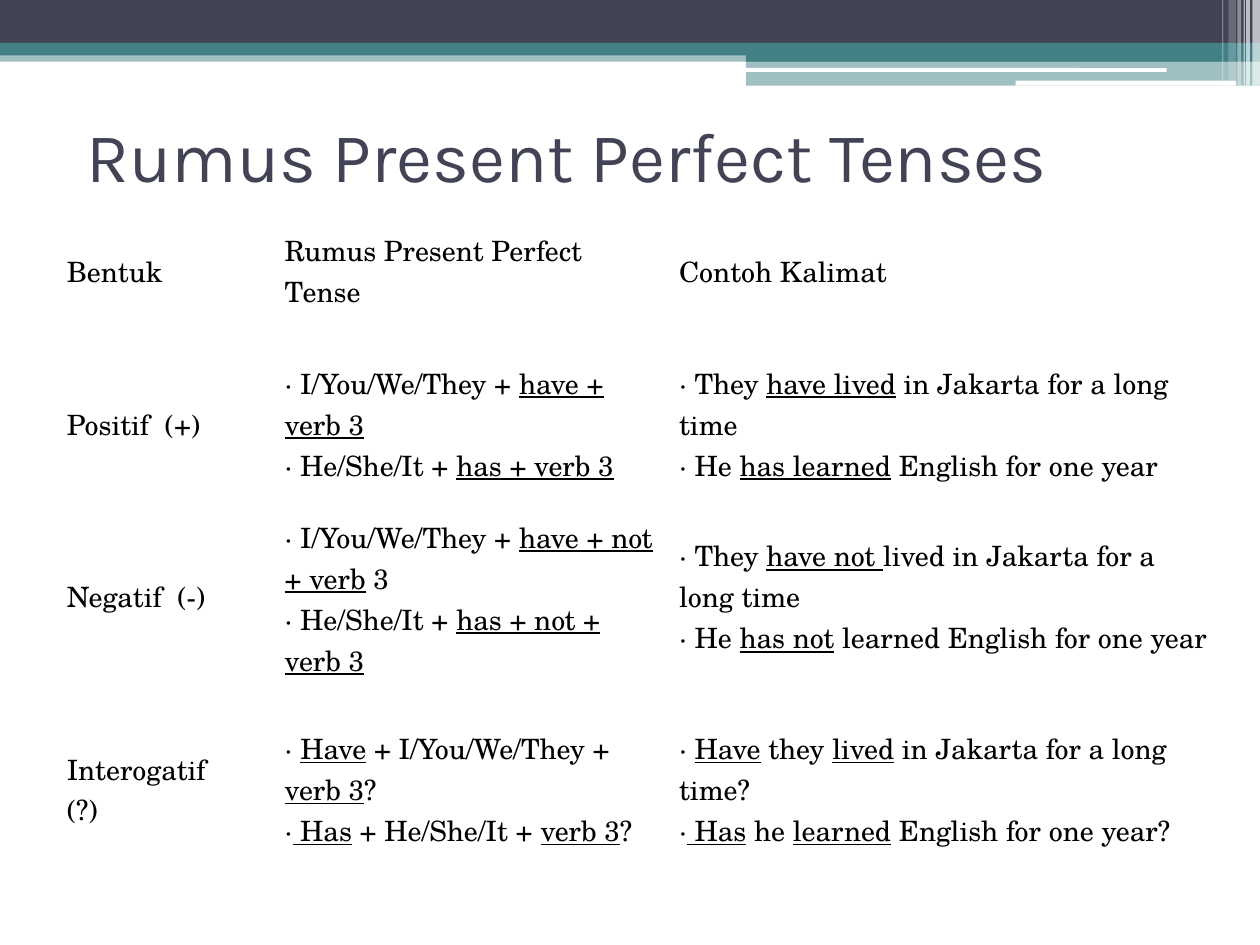
from lxml import etree
from pptx import Presentation
from pptx.dml.color import RGBColor
from pptx.enum.shapes import MSO_SHAPE
from pptx.enum.text import MSO_ANCHOR
from pptx.oxml.ns import qn
from pptx.util import Inches, Pt

RECT, ROUND = MSO_SHAPE.RECTANGLE, MSO_SHAPE.ROUNDED_RECTANGLE
MIDDLE = MSO_ANCHOR.MIDDLE
NAVY = RGBColor(0x42, 0x44, 0x56)
TEAL = RGBColor(0x43, 0x80, 0x86)
WHITE = RGBColor(0xFF, 0xFF, 0xFF)
BLACK = RGBColor(0, 0, 0)

W, H = Inches(10), Inches(7.5)
COL, ROW = W // 1000, H // 750

TITLE_FORMAT = {"name": "Karla", "size": Pt(40), "bold": False}
CELL_FORMAT = {"name": "TeX Gyre Schola", "size": Pt(16), "bold": False}

BANDS = [
    (RECT, 0, 40, 1000, 9, TEAL, 50),
    (RECT, 0, 0, 1000, 34, NAVY, 100),
    (RECT, 0, 34, 1000, 10, TEAL, 100),
    (RECT, 592, 39, 408, 10, TEAL, 100),
    (RECT, 592, 48, 408, 20, TEAL, 50),
    (ROUND, 591, 54, 335, 3, WHITE, 100),
    (ROUND, 806, 64, 175, 4, WHITE, 100),
]
STRIPES = [
    (994, 6, 68, 65),
    (989, 3, 68, 65),
    (987, 1, 68, 60),
    (982, 3, 68, 40),
    (975, 6, 64, 20),
    (970, 1, 64, 30),
]
COLUMN_SHARES = [173, 313, 443]
ROW_SHARES = [106, 137, 137, 169]
ROWS = [
    ["Bentuk", "Rumus Present Perfect Tense", "Contoh Kalimat"],
    ["Positif  (+)",
     "· I/You/We/They + _have + verb 3_\n· He/She/It + _has + verb 3_",
     "· They _have lived_ in Jakarta for a long time\n"
     "· He _has learned_ English for one year"],
    ["Negatif  (-)",
     "· I/You/We/They + _have + not + verb_ 3\n· He/She/It + _has + not + verb 3_",
     "· They _have not _lived in Jakarta for a long time\n"
     "· He _has not_ learned English for one year"],
    ["Interogatif   (?)",
     "· _Have_ + I/You/We/They + _verb 3_?\n·_ Has_ + He/She/It + _verb 3_?",
     "· _Have_ they _lived_ in Jakarta for a long time?\n"
     "·_ Has_ he _learned_ English for one year?"],
]


def grid_box(x, y, w, h):
    return x * COL, y * ROW, w * COL, h * ROW


def write_text(tf, text, formats, color):
    for i, line in enumerate(text.split("\n")):
        p = tf.paragraphs[0] if i == 0 else tf.add_paragraph()
        for j, part in enumerate(line.split("_")):
            if not part:
                continue
            r = p.add_run()
            r.text = part
            for name, value in formats.items():
                setattr(r.font, name, value)
            r.font.color.rgb = color
            if j % 2:
                r.font.underline = True


def add_bar(slide, kind, box, color, opacity):
    sp = slide.shapes.add_shape(kind, *box)
    sp.shadow.inherit = False
    sp.line.fill.background()
    sp.fill.solid()
    sp.fill.fore_color.rgb = color
    if opacity < 100:
        clr = sp.fill._xPr.find(".//" + qn("a:srgbClr"))
        etree.SubElement(clr, qn("a:alpha")).set("val", str(opacity * 1000))


def add_header(slide, box):
    left, top = box[:2]
    stripes = [(RECT, x, 0, w, h, WHITE, a) for x, w, h, a in STRIPES]
    for kind, x, y, w, h, color, opacity in BANDS + stripes:
        bar = (left + x * COL, top + y * ROW, w * COL, h * ROW)
        add_bar(slide, kind, bar, color, opacity)


def add_title(slide, box):
    tf = slide.shapes.add_textbox(*box).text_frame
    tf.word_wrap = True
    tf.vertical_anchor = MIDDLE
    write_text(tf, "Rumus Present Perfect Tenses", TITLE_FORMAT, NAVY)


def add_formula_table(slide, box):
    table = slide.shapes.add_table(len(ROWS), len(ROWS[0]), *box).table
    table.first_row = table.horz_banding = False
    for column, share in zip(table.columns, COLUMN_SHARES):
        column.width = box[2] * share // sum(COLUMN_SHARES)
    for row, share, texts in zip(table.rows, ROW_SHARES, ROWS):
        row.height = box[3] * share // sum(ROW_SHARES)
        for cell, text in zip(row.cells, texts):
            cell.fill.background()
            cell.vertical_anchor = MIDDLE
            write_text(cell.text_frame, text, CELL_FORMAT, BLACK)


def main():
    prs = Presentation()
    prs.slide_width, prs.slide_height = W, H
    slide = prs.slides.add_slide(prs.slide_layouts[6])
    add_header(slide, grid_box(0, 0, 1000, 68))
    add_title(slide, grid_box(59, 84, 900, 77))
    add_formula_table(slide, grid_box(43, 162, 929, 549))
    prs.save("out.pptx")


if __name__ == "__main__":
    main()
